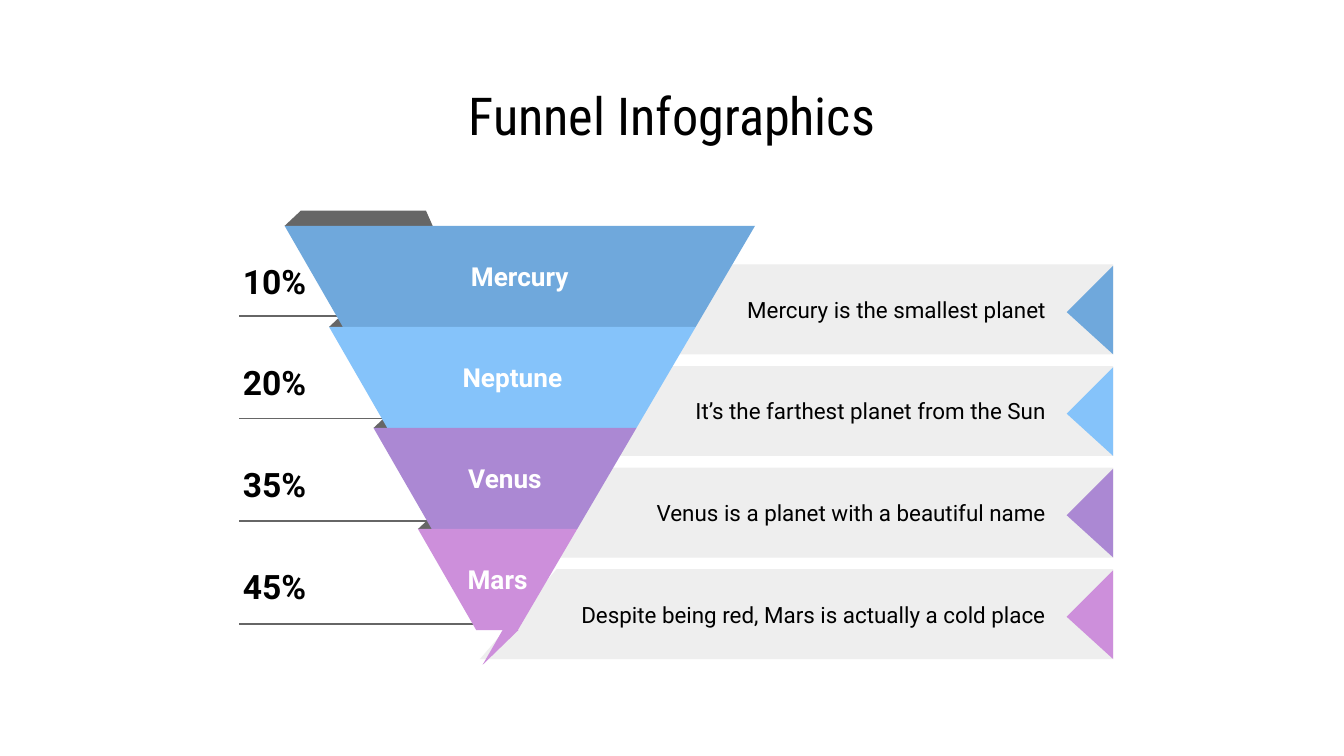
from pptx import Presentation
from pptx.dml.color import RGBColor
from pptx.enum.shapes import MSO_CONNECTOR as Link
from pptx.enum.text import MSO_ANCHOR as Anchor, PP_ALIGN as Align
from pptx.oxml.ns import qn
from pptx.util import Cm, Pt
from lxml.etree import SubElement

GREY, PLATE, BLACK, WHITE = "666666", "EEEEEE", "000000", "FFFFFF"
BAND_PITCH, CAPTION_PITCH, RULE_PITCH = 1.91, 1.92, 1.94
FUNNEL_LEFT, FUNNEL_RIGHT, FUNNEL_TOP = 5.38, 14.27, 4.27
LEFT_STEP, RIGHT_STEP, BAND_SLANT = 0.84, 1.12, 1.1
FOLD_WIDTH, FOLD_HEIGHT = 0.31, 0.29
PLATE_LEFT, PLATE_RIGHT, PLATE_TOP, PLATE_HEIGHT = 9.07, 21.04, 5.0, 1.7

STAGES = [
    ("Mercury", "10%", "Mercury is the smallest planet", "6FA8DC", 6.55),
    ("Neptune", "20%", "It’s the farthest planet from the Sun", "85C3FA", 7.29),
    ("Venus", "35%", "Venus is a planet with a beautiful name", "AB88D3", 8.36),
    ("Mars", "45%", "Despite being red, Mars is actually a cold place", "CD8FDB", 9.52),
]


def colour(value):
    return RGBColor.from_string(value)


def write(shape, text, size, ink, align, bold=False, font="Roboto", right=0.25):
    frame = shape.text_frame
    frame.word_wrap = True
    frame.vertical_anchor = Anchor.MIDDLE
    frame.margin_left = frame.margin_top = frame.margin_bottom = Cm(0.25)
    frame.margin_right = Cm(right)
    frame.text = text
    paragraph = frame.paragraphs[0]
    paragraph.alignment = align
    style = paragraph.runs[0].font
    style.name, style.size, style.bold = font, Pt(size), bold
    style.color.rgb = colour(ink)


def add_outline(slide, points, fill):
    start, *rest = [(Cm(x), Cm(y)) for x, y in points]
    builder = slide.shapes.build_freeform(*start)
    builder.add_line_segments(rest, close=True)
    outline = builder.convert_to_shape()
    outline.shadow.inherit = False
    outline.fill.solid()
    outline.fill.fore_color.rgb = colour(fill)
    outline.line.fill.background()
    return outline


def add_title(slide, text):
    title = slide.shapes.title
    title.left, title.top, title.width, title.height = Cm(7.93), Cm(1.5), Cm(9.53), Cm(1.35)
    write(title, text, 28, BLACK, Align.CENTER, font="Roboto Condensed")


def add_folds(slide):
    for index in range(1, len(STAGES)):
        left = FUNNEL_LEFT + index * LEFT_STEP
        bottom = FUNNEL_TOP + index * BAND_PITCH
        inner = left + FOLD_WIDTH
        add_outline(slide, [(inner, bottom - FOLD_HEIGHT), (left, bottom), (inner, bottom)], GREY)
    inner, top = FUNNEL_LEFT + FOLD_WIDTH, FUNNEL_TOP - FOLD_HEIGHT
    add_outline(slide, [(inner, top), (FUNNEL_LEFT, FUNNEL_TOP), (inner, FUNNEL_TOP),
                        (6.38, 5.77), (8.84, 5.77), (8.05, top)], GREY)


def add_rule(slide, index, end):
    height = Cm(5.97 + index * RULE_PITCH)
    rule = slide.shapes.add_connector(Link.STRAIGHT, Cm(end), height, Cm(4.52), height)
    rule.line.color.rgb = colour(GREY)
    rule.line.width = Pt(0.98)
    SubElement(rule._element.spPr, qn("a:effectLst"))


def add_caption(slide, index, caption):
    top = PLATE_TOP + index * CAPTION_PITCH
    bottom = top + PLATE_HEIGHT
    plate = add_outline(slide, [(PLATE_LEFT + 1.45, top), (PLATE_LEFT, bottom),
                                (PLATE_RIGHT, bottom), (PLATE_RIGHT, top)], PLATE)
    write(plate, caption, 12, BLACK, Align.RIGHT, right=1.27)


def add_pointer(slide, index, fill):
    top = PLATE_TOP + index * CAPTION_PITCH
    add_outline(slide, [(PLATE_RIGHT - 0.88, top + 0.9), (PLATE_RIGHT, top + PLATE_HEIGHT),
                        (PLATE_RIGHT, top + 0.02)], fill)


def add_band(slide, index, planet, fill):
    left = FUNNEL_LEFT + index * LEFT_STEP
    right = FUNNEL_RIGHT - index * RIGHT_STEP
    top = FUNNEL_TOP + index * BAND_PITCH
    bottom = top + BAND_PITCH
    band = add_outline(slide, [(left, top), (left + BAND_SLANT, bottom),
                               (right - RIGHT_STEP, bottom), (right, top)], fill)
    write(band, planet, 14, WHITE, Align.CENTER, bold=True)


def add_share(slide, index, share):
    top = 4.88 + index * CAPTION_PITCH
    box = slide.shapes.add_textbox(Cm(4.34), Cm(top), Cm(1.83), Cm(0.86))
    write(box, share, 18, BLACK, Align.LEFT, bold=True)


def main():
    deck = Presentation()
    deck.slide_width, deck.slide_height = Cm(25.4), Cm(14.29)
    slide = deck.slides.add_slide(deck.slide_layouts[5])
    add_title(slide, "Funnel Infographics")
    add_folds(slide)
    for index, (planet, share, caption, fill, rule_end) in enumerate(STAGES):
        add_rule(slide, index, rule_end)
        add_caption(slide, index, caption)
        add_band(slide, index, planet, fill)
        add_pointer(slide, index, fill)
        add_share(slide, index, share)
    tip = FUNNEL_TOP + len(STAGES) * BAND_PITCH
    add_outline(slide, [(9.5, tip), (9.12, 12.57), (9.8, tip)], STAGES[-1][3])
    deck.save("out.pptx")


if __name__ == "__main__":
    main()
